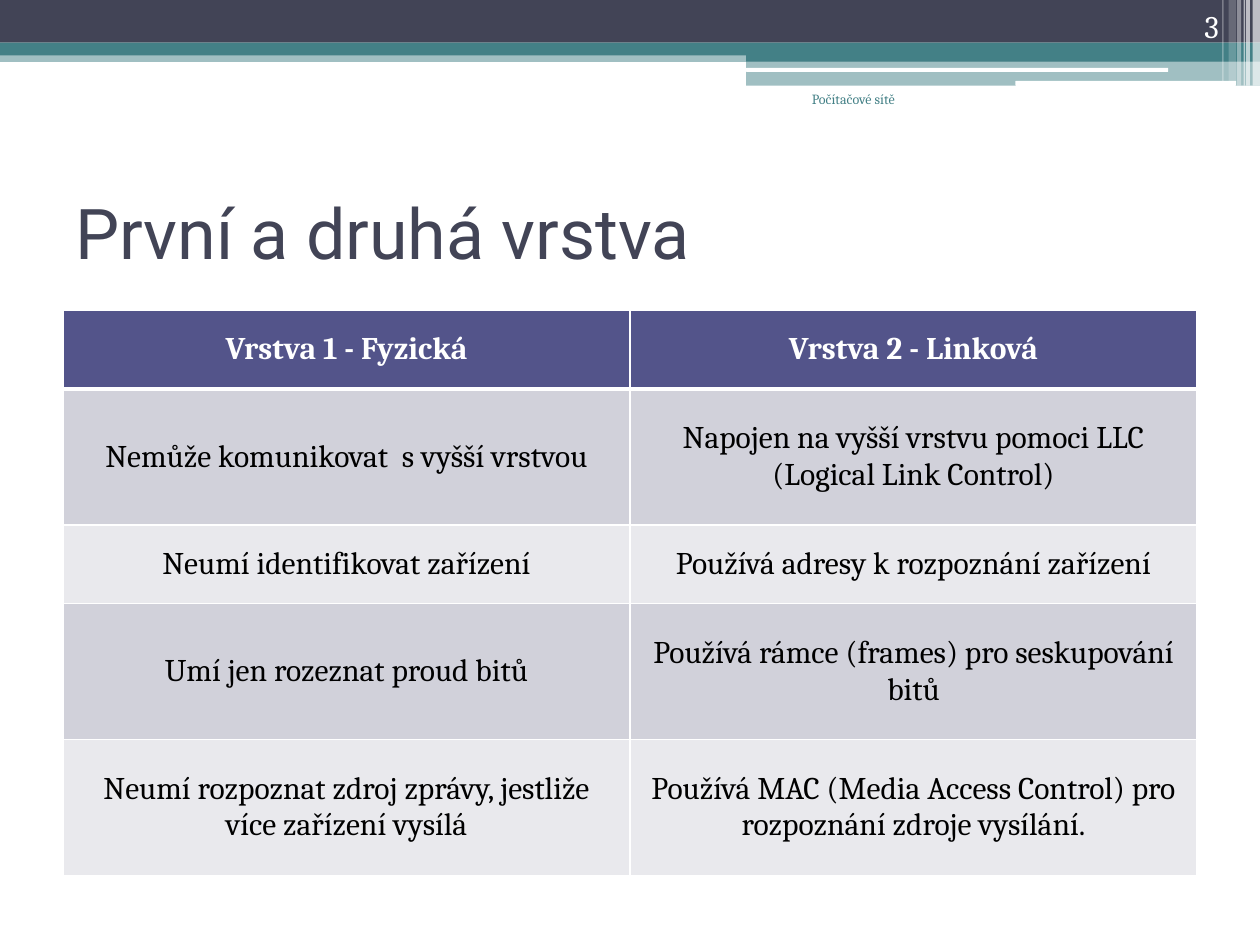
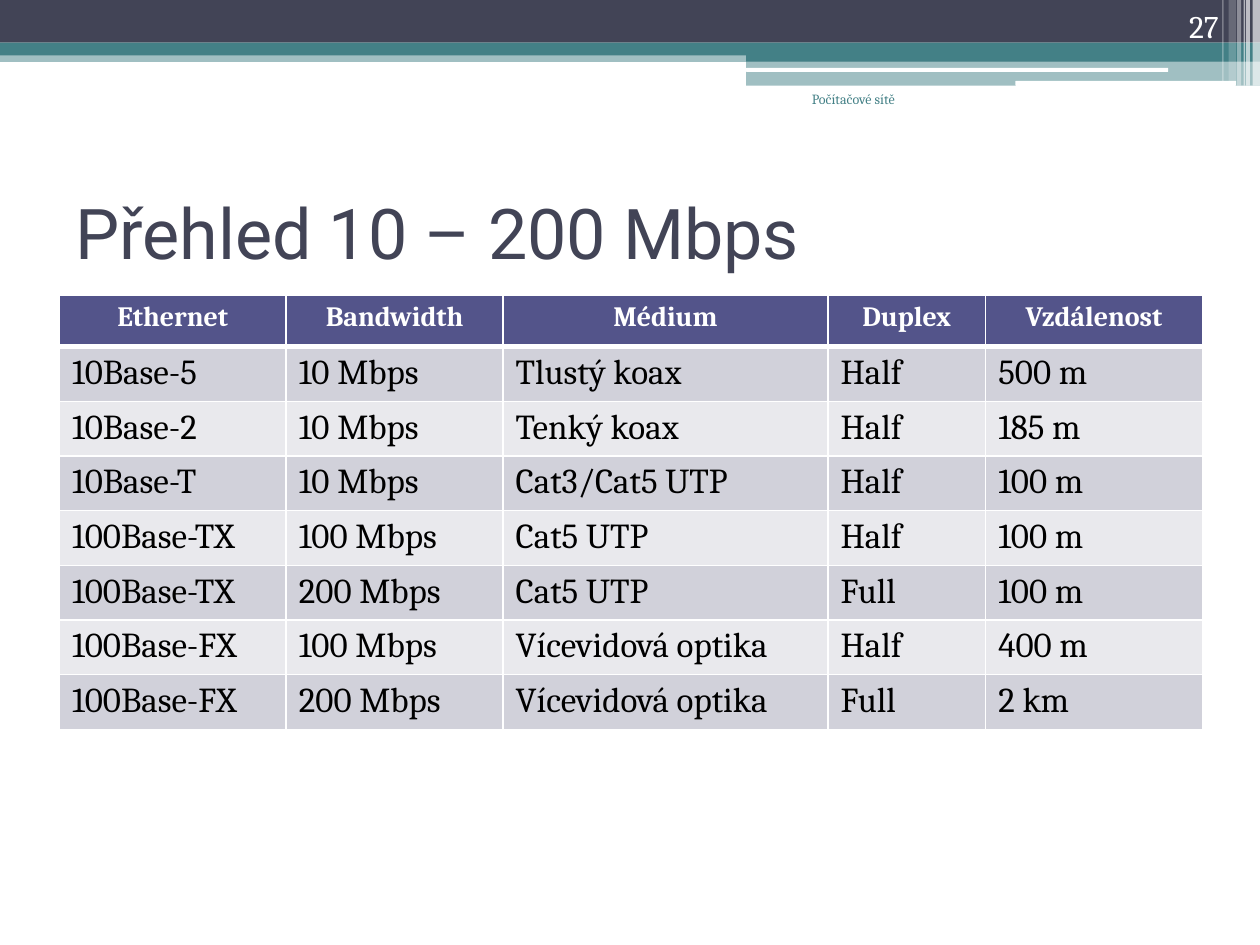
import pptx
import pptx.dml.color
import pptx.enum.shapes
import pptx.enum.text
import pptx.oxml.ns
import pptx.util
from lxml import etree

Cm = pptx.util.Cm
Pt = pptx.util.Pt
MSO = pptx.enum.shapes.MSO_SHAPE
ALIGN = pptx.enum.text.PP_ALIGN
ANCHOR = pptx.enum.text.MSO_ANCHOR
qn = pptx.oxml.ns.qn

# Shared look
NAVY, TEAL, WHITE, BLACK = "424456", "438086", "FFFFFF", "000000"
HEADER_FILL, ROW_FILLS = "53548A", ("D1D1DA", "E9E9ED")
TITLE_FONT, BODY_FONT = "Roboto", "Cambria"
FOOTER = "Počítačové sítě"

# Shared regions in cm: left, top, width, height
SLIDE_W, SLIDE_H = 25.4, 19.05
BAND_BOX = (0, 0, SLIDE_W, 1.73)
TITLE_BOX = (1.27, 3.18, 22.86, 2.97)
FOOTER_BOX = (14.61, 1.7, 3.68, 1.27)
NUMBER_BOX = (22.71, 0, 2.11, 1.02)

LAYERS = [
    ("Vrstva 1 - Fyzická", "Vrstva 2 - Linková"),
    ("Nemůže komunikovat  s vyšší vrstvou",
     "Napojen na vyšší vrstvu pomoci LLC (Logical Link Control)"),
    ("Neumí identifikovat zařízení", "Používá adresy k rozpoznání zařízení"),
    ("Umí jen rozeznat proud bitů",
     "Používá rámce (frames) pro seskupování bitů"),
    ("Neumí rozpoznat zdroj zprávy, jestliže více zařízení vysílá",
     "Používá MAC (Media Access Control) pro rozpoznání zdroje vysílání."),
]
ETHERNET = [
    ("Ethernet", "Bandwidth", "Médium", "Duplex", "Vzdálenost"),
    ("10Base-5", "10 Mbps", "Tlustý koax", "Half", "500 m"),
    ("10Base-2", "10 Mbps", "Tenký koax", "Half", "185 m"),
    ("10Base-T", "10 Mbps", "Cat3/Cat5 UTP", "Half", "100 m"),
    ("100Base-TX", "100 Mbps", "Cat5 UTP", "Half", "100 m"),
    ("100Base-TX", "200 Mbps", "Cat5 UTP", "Full", "100 m"),
    ("100Base-FX", "100 Mbps", "Vícevidová optika", "Half", "400 m"),
    ("100Base-FX", "200 Mbps", "Vícevidová optika", "Full", "2 km"),
]


def rgb(value):
    return pptx.dml.color.RGBColor.from_string(value)


def add_block(s, box, color, opacity=100, kind=MSO.RECTANGLE):
    sp = s.shapes.add_shape(kind, *map(Cm, box))
    sp.shadow.inherit = False
    sp.line.fill.background()
    sp.fill.solid()
    sp.fill.fore_color.rgb = rgb(color)
    if opacity < 100:
        clr = sp.fill._xPr.find(".//" + qn("a:srgbClr"))
        etree.SubElement(clr, qn("a:alpha"), val=str(opacity * 1000))


def write(tf, text, size, color, font=BODY_FONT, align=ALIGN.LEFT, bold=False):
    p = tf.paragraphs[0]
    p.alignment = align
    r = p.add_run()
    r.text = text
    r.font.name = font
    r.font.size = Pt(size)
    r.font.bold = bold
    r.font.color.rgb = rgb(color)


def add_text(s, box, text, size, color, anchor=ANCHOR.TOP, **style):
    tf = s.shapes.add_textbox(*map(Cm, box)).text_frame
    tf.word_wrap = True
    tf.vertical_anchor = anchor
    write(tf, text, size, color, **style)


def add_band(s, box):
    left, top, width, height = box
    right, tab_w = left + width, 10.36
    tab = right - tab_w
    # Full-width stripes
    add_block(s, (left, top + 1.02, width, 0.23), TEAL, 50)
    add_block(s, (left, top, width, 0.86), NAVY)
    add_block(s, (left, top + 0.86, width, 0.26), TEAL)
    # Tab on the right with two white bars
    add_block(s, (tab, top + 0.99, tab_w, 0.25), TEAL)
    add_block(s, (tab, top + 1.23, tab_w, height - 1.23), TEAL, 50)
    for bar in ((tab, top + 1.37, 8.51, 0.08),
                (right - 4.93, top + 1.63, 4.45, 0.1)):
        add_block(s, bar, WHITE, kind=MSO.ROUNDED_RECTANGLE)
    # Translucent bars: distance from the right edge, width, height, opacity
    for offset, bar_w, bar_h, opacity in (
            (0.15, 0.15, height, 65), (0.28, 0.08, height, 65),
            (0.33, 0.03, height, 60), (0.46, 0.08, height, 40),
            (0.63, 0.15, 1.63, 20), (0.76, 0.03, 1.63, 30)):
        add_block(s, (right - offset, top, bar_w, bar_h), WHITE, opacity)


def set_borders(cell, top, bottom):
    tcPr = cell._tc.get_or_add_tcPr()
    for side, width in (("L", 1), ("R", 1), ("T", top), ("B", bottom)):
        ln = etree.SubElement(tcPr, qn("a:ln" + side), w=str(Pt(width)))
        fill = etree.SubElement(ln, qn("a:solidFill"))
        etree.SubElement(fill, qn("a:srgbClr"), val=WHITE)


def add_grid(s, corner, rows, col_widths, row_heights, sizes, anchor, align):
    """sizes holds the header and body text size; align is for the body."""
    box = (*corner, sum(col_widths), sum(row_heights))
    table = s.shapes.add_table(len(rows), len(col_widths), *map(Cm, box)).table
    for column, width in zip(table.columns, col_widths):
        column.width = Cm(width)
    for i, (texts, height) in enumerate(zip(rows, row_heights)):
        table.rows[i].height = Cm(height)
        header = i == 0
        for cell, text in zip(table.rows[i].cells, texts):
            set_borders(cell, 3 if i == 1 else 1, 3 if header else 1)
            cell.fill.solid()
            cell.fill.fore_color.rgb = rgb(
                HEADER_FILL if header else ROW_FILLS[(i - 1) % 2])
            cell.vertical_anchor = anchor
            write(cell.text_frame, text, sizes[0 if header else 1],
                  WHITE if header else BLACK, bold=header,
                  align=ALIGN.CENTER if header else align)


def add_base_slide(prs, title, number):
    s = prs.slides.add_slide(prs.slide_layouts[6])
    add_band(s, BAND_BOX)
    add_text(s, TITLE_BOX, title, 40, NAVY, ANCHOR.MIDDLE, font=TITLE_FONT)
    add_text(s, FOOTER_BOX, FOOTER, 8, TEAL, align=ALIGN.RIGHT)
    add_text(s, NUMBER_BOX, str(number), 18, WHITE, ANCHOR.BOTTOM,
             align=ALIGN.RIGHT)
    return s


def main():
    prs = pptx.Presentation()
    prs.slide_width, prs.slide_height = Cm(SLIDE_W), Cm(SLIDE_H)

    # Comparison of the two layers
    s = add_base_slide(prs, "První a druhá vrstva", 3)
    add_grid(s, (1.27, 6.25), LAYERS, [11.43] * 2,
             [1.59, 2.74, 1.59, 2.74, 2.74], (18, 18),
             ANCHOR.MIDDLE, ALIGN.CENTER)

    # Overview of Ethernet variants
    s = add_base_slide(prs, "Přehled 10 – 200 Mbps", 27)
    add_grid(s, (1.2, 5.95), ETHERNET, [4.57, 4.37, 6.55, 3.18, 4.37],
             [1.04] * len(ETHERNET), (16, 20), ANCHOR.TOP, ALIGN.LEFT)

    prs.save("out.pptx")


if __name__ == "__main__":
    main()
